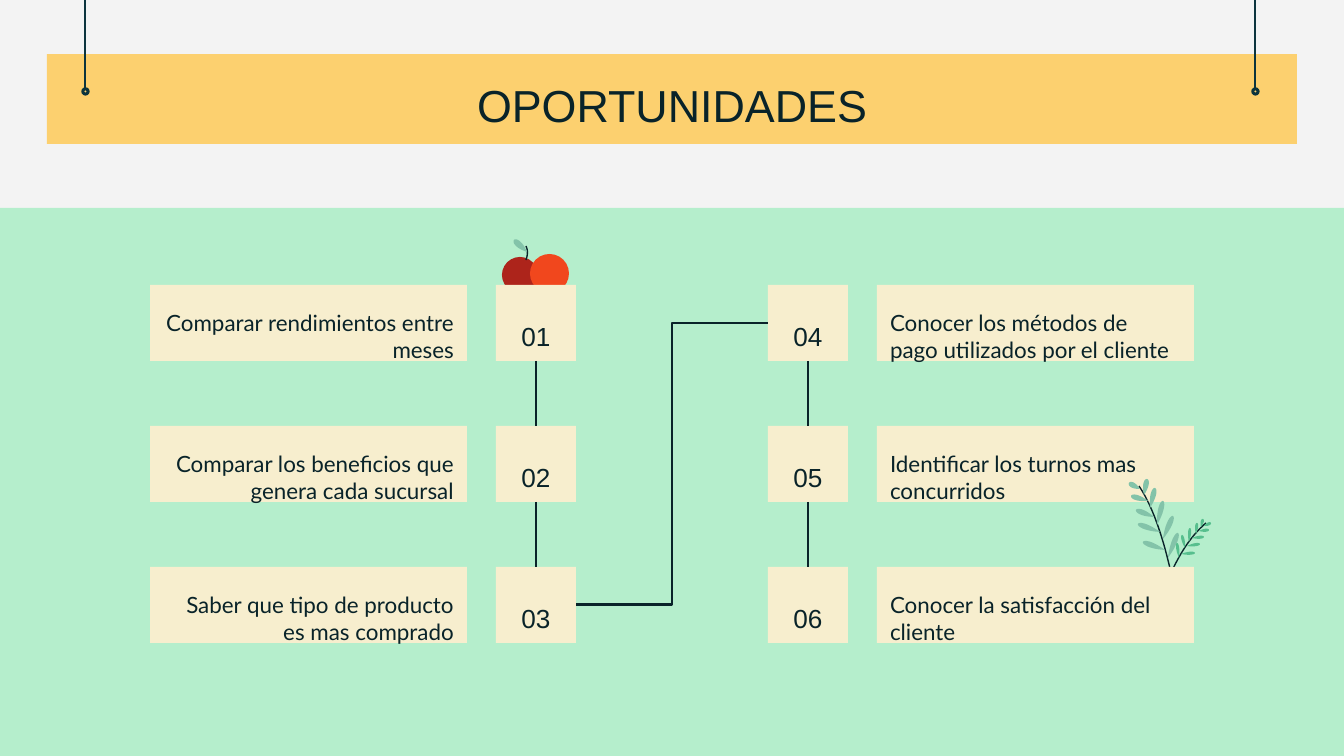
import math
from dataclasses import dataclass

from lxml import etree
from pptx import Presentation
from pptx.dml.color import RGBColor
from pptx.enum.shapes import MSO_CONNECTOR, MSO_SHAPE
from pptx.enum.text import MSO_ANCHOR, PP_ALIGN
from pptx.oxml.ns import qn
from pptx.util import Emu, Pt

RECT, OVAL, DONUT = MSO_SHAPE.RECTANGLE, MSO_SHAPE.OVAL, MSO_SHAPE.DONUT
STRAIGHT, ELBOW = MSO_CONNECTOR.STRAIGHT, MSO_CONNECTOR.ELBOW
LEFT, CENTER, RIGHT = PP_ALIGN.LEFT, PP_ALIGN.CENTER, PP_ALIGN.RIGHT
MIDDLE = MSO_ANCHOR.MIDDLE
TOP_SITE, LEFT_SITE, BOTTOM_SITE, RIGHT_SITE = range(4)

SCALE = 914400 / 134.4
WIDTH, HEIGHT = 1344, 756


@dataclass(frozen=True)
class Theme:
    page: str = "F3F3F3"
    panel: str = "B5EECC"
    banner: str = "FCD06F"
    card: str = "F7EECE"
    ink: str = "092329"
    pin: str = "0C343D"
    dark_red: str = "AD241B"
    orange: str = "F1471D"
    sage: str = "83C3A9"
    green: str = "57BF8E"
    heading_font: str = "Arial"
    body_font: str = "Lato"
    title_size: int = 24
    number_size: int = 14
    body_size: int = 12


THEME = Theme()

LEFT_ITEMS = [
    "Comparar rendimientos entre meses",
    "Comparar los beneficios que genera cada sucursal",
    "Saber que tipo de producto es mas comprado",
]
RIGHT_ITEMS = [
    "Conocer los métodos de pago utilizados por el cliente",
    "Identificar los turnos mas concurridos",
    "Conocer la satisfacción del cliente",
]

# Each leaf is base x, base y, tip x, tip y inside the plant's box.
TALL_LEAVES = [
    (39, 79, 49, 54), (34, 60, 44, 37), (28, 46, 34, 22), (21, 29, 26, 9),
    (15, 16, 18, 0), (11, 10, 0, 4), (19, 22, 2, 17), (25, 38, 7, 31),
    (31, 53, 9, 45), (36, 71, 14, 63),
]
SHORT_LEAVES = [
    (50, 79, 48, 64), (56, 69, 53, 56), (60, 63, 61, 49), (67, 55, 68, 44),
    (72, 48, 74, 40), (75, 47, 82, 44), (70, 52, 80, 51), (63, 59, 75, 58),
    (58, 67, 71, 65), (52, 75, 66, 74),
]


def px(n):
    return Emu(round(n * SCALE))


def rgb(value):
    return RGBColor.from_string(value)


def add_box(shapes, kind, x, y, w, h, fill):
    sp = shapes.add_shape(kind, px(x), px(y), px(w), px(h))
    sp.shadow.inherit = False
    sp.fill.solid()
    sp.fill.fore_color.rgb = rgb(fill)
    sp.line.fill.background()
    return sp


def write(sp, text, *, size, font, align=LEFT, insets=(13, 13, 13, 13), after=0):
    tf = sp.text_frame
    tf.word_wrap = True
    tf.vertical_anchor = MIDDLE
    tf.margin_left, tf.margin_top, tf.margin_right, tf.margin_bottom = map(px, insets)
    p = tf.paragraphs[0]
    p.alignment = align
    p.space_after = Pt(after)
    r = p.add_run()
    r.text = text
    r.font.size = Pt(size)
    r.font.name = font
    r.font.color.rgb = rgb(THEME.ink)


def add_line(shapes, kind, x1, y1, x2, y2, color):
    line = shapes.add_connector(kind, px(x1), px(y1), px(x2), px(y2))
    line.line.color.rgb = rgb(color)
    line.line.width = Pt(1.5)
    etree.SubElement(line._element.spPr, qn("a:effectLst"))
    return line


def link(shapes, kind, start, start_site, end, end_site):
    line = add_line(shapes, kind, 0, 0, 1, 1, THEME.ink)
    line.begin_connect(start, start_site)
    line.end_connect(end, end_site)


def add_outline(shapes, points, close):
    points = [(px(x), px(y)) for x, y in points]
    builder = shapes.build_freeform(*points[0], scale=1.0)
    builder.add_line_segments(points[1:], close=close)
    sp = builder.convert_to_shape()
    sp.shadow.inherit = False
    return sp


def add_leaf(shapes, x, y, leaf, width, fill):
    """Draw a lens-shaped leaf from its base to its tip."""
    bx, by, tx, ty = leaf
    dx, dy = tx - bx, ty - by
    length = math.hypot(dx, dy)
    points = []
    for i in range(24):
        angle = 2 * math.pi * i / 24
        along = (1 - math.cos(angle)) / 2
        across = width / 2 * math.sin(angle) * along ** 0.5
        points.append((x + bx + dx * along - dy / length * across,
                       y + by + dy * along + dx / length * across))
    sp = add_outline(shapes, points, True)
    sp.fill.solid()
    sp.fill.fore_color.rgb = rgb(fill)
    sp.line.fill.background()


def add_stem(shapes, x, y, start, bend, end):
    """Draw a quadratic curve as a thin open stroke."""
    points = []
    for i in range(13):
        t = i / 12
        points.append([o + (1 - t) ** 2 * a + 2 * t * (1 - t) * b + t * t * c
                       for o, a, b, c in zip((x, y), start, bend, end)])
    sp = add_outline(shapes, points, False)
    sp.fill.background()
    sp.line.color.rgb = rgb(THEME.ink)
    sp.line.width = Pt(0.75)


def add_banner(shapes, x, y, w, h):
    add_box(shapes, RECT, x, y, w, h, THEME.banner)
    for pin_x in (x + 38, x + w - 42):
        add_line(shapes, STRAIGHT, pin_x, 0, pin_x, y + 34, THEME.pin)
        ring = add_box(shapes, DONUT, pin_x - 3, y + 34, 7, 7, THEME.pin)
        ring.line.color.rgb = rgb(THEME.pin)
        ring.line.width = Pt(0.75)
    title = shapes.add_textbox(px(x + 155), px(y + 8), px(w - 310), px(85))
    write(title, "OPORTUNIDADES", size=THEME.title_size,
          font=THEME.heading_font, align=CENTER)


def add_apples(shapes, x, y):
    group = shapes.add_group_shape().shapes
    add_box(group, OVAL, x, y + 18, 36, 36, THEME.dark_red)
    add_box(group, OVAL, x + 28, y + 15, 39, 39, THEME.orange)
    add_stem(group, x, y, (24, 7), (27, 13), (24, 21))
    add_leaf(group, x, y, (25, 13, 12, 1), 8, THEME.sage)


def add_plant(shapes, x, y):
    group = shapes.add_group_shape().shapes
    add_stem(group, x, y, (10, 7), (31, 38), (45, 108))
    add_stem(group, x, y, (77, 44), (57, 61), (42, 94))
    for leaves, width, fill in ((TALL_LEAVES, 7, THEME.sage),
                                (SHORT_LEAVES, 4, THEME.green)):
        for leaf in leaves:
            add_leaf(group, x, y, leaf, width, fill)


def add_item(shapes, x, y, w, h, number, text, mirrored):
    """Place a text card and its number tile; return the tile."""
    card_w, tile_w = 317, 80
    card_x, tile_x = (x + w - card_w, x) if mirrored else (x, x + w - tile_w)
    style = {"insets": (13, 27, 13, 0), "after": 16}
    card = add_box(shapes, RECT, card_x, y, card_w, h, THEME.card)
    write(card, text, size=THEME.body_size, font=THEME.body_font,
          align=LEFT if mirrored else RIGHT, **style)
    tile = add_box(shapes, RECT, tile_x, y, tile_w, h, THEME.card)
    write(tile, f"{number:02}", size=THEME.number_size,
          font=THEME.heading_font, align=CENTER, **style)
    return tile


def add_timeline(shapes, x, y, w):
    item_w, item_h, step = 426, 76, 141
    left_tiles, right_tiles = [], []
    add_apples(shapes, x + 352, y - 46)
    for i, (left, right) in enumerate(zip(LEFT_ITEMS, RIGHT_ITEMS)):
        top = y + i * step
        if i == 2:
            add_plant(shapes, x + w - 65, top - 88)
        left_tiles.append(add_item(shapes, x, top, item_w, item_h,
                                   i + 1, left, False))
        right_tiles.append(add_item(shapes, x + w - item_w, top, item_w, item_h,
                                    i + 4, right, True))
    for tiles in (left_tiles, right_tiles):
        for upper, lower in zip(tiles, tiles[1:]):
            link(shapes, STRAIGHT, upper, BOTTOM_SITE, lower, TOP_SITE)
    link(shapes, ELBOW, left_tiles[-1], RIGHT_SITE, right_tiles[0], LEFT_SITE)


def main():
    prs = Presentation()
    prs.slide_width, prs.slide_height = px(WIDTH), px(HEIGHT)
    s = prs.slides.add_slide(prs.slide_layouts[6])
    s.background.fill.solid()
    s.background.fill.fore_color.rgb = rgb(THEME.page)
    add_box(s.shapes, RECT, 0, 208, WIDTH, HEIGHT - 208, THEME.panel)
    add_banner(s.shapes, 47, 54, 1250, 90)
    add_timeline(s.shapes, 150, 285, 1044)
    prs.save("out.pptx")


if __name__ == "__main__":
    main()
